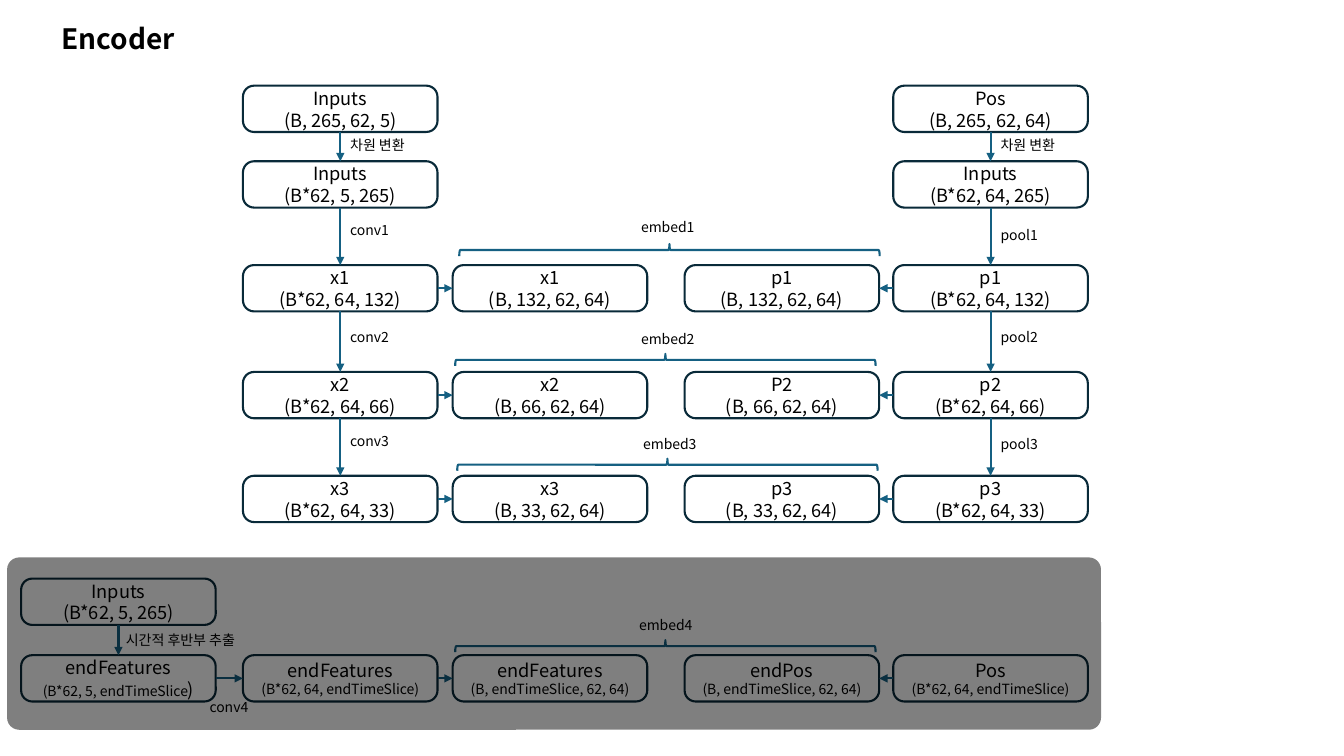
from lxml import etree
from pptx import Presentation, util as u
from pptx.dml.color import RGBColor
from pptx.enum import shapes, text
from pptx.oxml.ns import qn

# Content: (column, row, name, dimensions, size of dimensions)
TITLE = "Encoder"
TENSORS = [
    (1, 0, "Inputs", "(B, 265, 62, 5)", 13),
    (1, 1, "Inputs", "(B*62, 5, 265)", 13),
    (1, 2, "x1", "(B*62, 64, 132)", 13),
    (1, 3, "x2", "(B*62, 64, 66)", 13),
    (1, 4, "x3", "(B*62, 64, 33)", 13),
    (2, 2, "x1", "(B, 132, 62, 64)", 13),
    (2, 3, "x2", "(B, 66, 62, 64)", 13),
    (2, 4, "x3", "(B, 33, 62, 64)", 13),
    (3, 2, "p1", "(B, 132, 62, 64)", 13),
    (3, 3, "P2", "(B, 66, 62, 64)", 13),
    (3, 4, "p3", "(B, 33, 62, 64)", 13),
    (4, 0, "Pos", "(B, 265, 62, 64)", 13),
    (4, 1, "Inputs", "(B*62, 64, 265)", 13),
    (4, 2, "p1", "(B*62, 64, 132)", 13),
    (4, 3, "p2", "(B*62, 64, 66)", 13),
    (4, 4, "p3", "(B*62, 64, 33)", 13),
    (0, 5, "Inputs", "(B*62, 5, 265)", 13),
    (0, 6, "endFeatures", "(B*62, 5, endTimeSlice", 10),
    (1, 6, "endFeatures", "(B*62, 64, endTimeSlice)", 10),
    (2, 6, "endFeatures", "(B, endTimeSlice, 62, 64)", 10),
    (3, 6, "endPos", "(B, endTimeSlice, 62, 64)", 10),
    (4, 6, "Pos", "(B*62, 64, endTimeSlice)", 10),
]
LARGE_ENDING = {(0, 6): ")"}
# Steps down a column: column, first row, then label and its top
STEPS = [
    (1, 0, [("차원 변환", 1.31), ("conv1", 2.15), ("conv2", 3.21), ("conv3", 4.24)]),
    (4, 0, [("차원 변환", 1.31), ("pool1", 2.2), ("pool2", 3.21), ("pool3", 4.27)]),
]
# Reshapes across a row: row, from column, to column
RESHAPES = [(row, *pair) for row in (2, 3, 4, 6) for pair in ((1, 2), (4, 3))] + [(6, 0, 1)]
# Embeddings: name, label left and top, brace centre x and y
EMBEDS = [
    ("embed1", 6.26, 2.12, 6.64, 2.48),
    ("embed2", 6.26, 3.23, 6.6, 3.57),
    ("embed3", 6.28, 4.27, 6.62, 4.61),
    ("embed4", 6.24, 6.07, 6.6, 6.41),
]
PANEL = (0.07, 5.53, 10.85, 1.71)
PANEL_LABELS = [("conv4", 1.98, 6.88, 0.66), ("시간적 후반부 추출", 1.15, 6.22, 1.51)]

# Grid and style
COLUMNS = [0.21, 2.41, 4.49, 6.79, 8.86]
ROWS = [0.85, 1.6, 2.63, 3.69, 4.72, 5.74, 6.5]
BOX_W, BOX_H = 1.93, 0.46
BRACE_W, BRACE_H = 0.12, 4.17
FONT = "Noto Sans CJK KR"
INK, EDGE, FLOW, PAPER = "000000", "092A39", "156082", "FFFFFF"

deck = Presentation()
deck.slide_width, deck.slide_height = u.Inches(13.33), u.Inches(7.5)
slide = deck.slides.add_slide(deck.slide_layouts[6])


def color(value):
    return RGBColor.from_string(value)


def inches(*lengths):
    return [u.Inches(length) for length in lengths]


def add_run(paragraph, words, size, bold=False):
    run = paragraph.add_run()
    run.text = words
    run.font.size, run.font.bold = u.Pt(size), bold
    run.font.color.rgb = color(INK)
    run.font.name = FONT
    etree.SubElement(run.font._element, qn("a:ea"), typeface=FONT)


def add_label(words, left, top, width, height=0.27, size=10, bold=False):
    label = slide.shapes.add_textbox(*inches(left, top, width, height))
    label.text_frame.word_wrap = False
    add_run(label.text_frame.paragraphs[0], words, size, bold)


def add_outline(kind, box, line=None, fill=None):
    outline = slide.shapes.add_shape(kind, *inches(*box))
    outline.shadow.inherit = False
    if fill:
        outline.fill.solid()
        outline.fill.fore_color.rgb = color(fill)
    else:
        outline.fill.background()
    if line:
        outline.line.color.rgb = color(line)
        outline.line.width = u.Pt(1.5)
    else:
        outline.line.fill.background()
    return outline


def add_arrow(x1, y1, x2, y2):
    arrow = slide.shapes.add_connector(shapes.MSO_CONNECTOR.STRAIGHT, *inches(x1, y1, x2, y2))
    arrow.line.color.rgb = color(FLOW)
    arrow.line.width = u.Pt(1.5)
    etree.SubElement(arrow.line._get_or_add_ln(), qn("a:tailEnd"), type="triangle")
    etree.SubElement(arrow._element.spPr, qn("a:effectLst"))


def add_step(column, row):
    middle = COLUMNS[column] + BOX_W / 2
    add_arrow(middle, ROWS[row] + BOX_H, middle, ROWS[row + 1])
    return middle


# Title
add_label(TITLE, 0.51, 0.16, 1.33, 0.44, 20, True)

# Tensor boxes
for column, row, name, dims, dims_size in TENSORS:
    box = add_outline(shapes.MSO_SHAPE.ROUNDED_RECTANGLE,
                      (COLUMNS[column], ROWS[row], BOX_W, BOX_H), EDGE, PAPER)
    box.adjustments[0] = 0.24
    frame = box.text_frame
    frame.vertical_anchor = text.MSO_ANCHOR.MIDDLE
    first, second = frame.paragraphs[0], frame.add_paragraph()
    first.alignment = second.alignment = text.PP_ALIGN.CENTER
    add_run(first, name, 13)
    add_run(second, dims, dims_size)
    if (column, row) in LARGE_ENDING:
        add_run(second, LARGE_ENDING[column, row], 13)

# Steps between rows
for column, first_row, labels in STEPS:
    for row, (words, top) in enumerate(labels, first_row):
        middle = add_step(column, row)
        add_label(words, middle, top, 0.87 if row == 0 else 0.66)
add_step(0, 5)

# Reshapes between columns
for row, start, end in RESHAPES:
    y = ROWS[row] + BOX_H / 2
    if start < end:
        add_arrow(COLUMNS[start] + BOX_W, y, COLUMNS[end], y)
    else:
        add_arrow(COLUMNS[start], y, COLUMNS[end] + BOX_W, y)

# Embedding braces
for words, left, top, x, y in EMBEDS:
    brace = add_outline(shapes.MSO_SHAPE.RIGHT_BRACE,
                        (x - BRACE_W / 2, y - BRACE_H / 2, BRACE_W, BRACE_H), FLOW)
    brace.rotation = 270
    add_label(words, left, top, 0.75)

# Shaded panel with its labels
panel = add_outline(shapes.MSO_SHAPE.ROUNDED_RECTANGLE, PANEL, fill=INK)
panel.adjustments[0] = 0.07
shade = panel._element.spPr.find(qn("a:solidFill"))[0]
etree.SubElement(shade, qn("a:alpha"), val="50000")
for panel_label in PANEL_LABELS:
    add_label(*panel_label)

deck.save("out.pptx")
